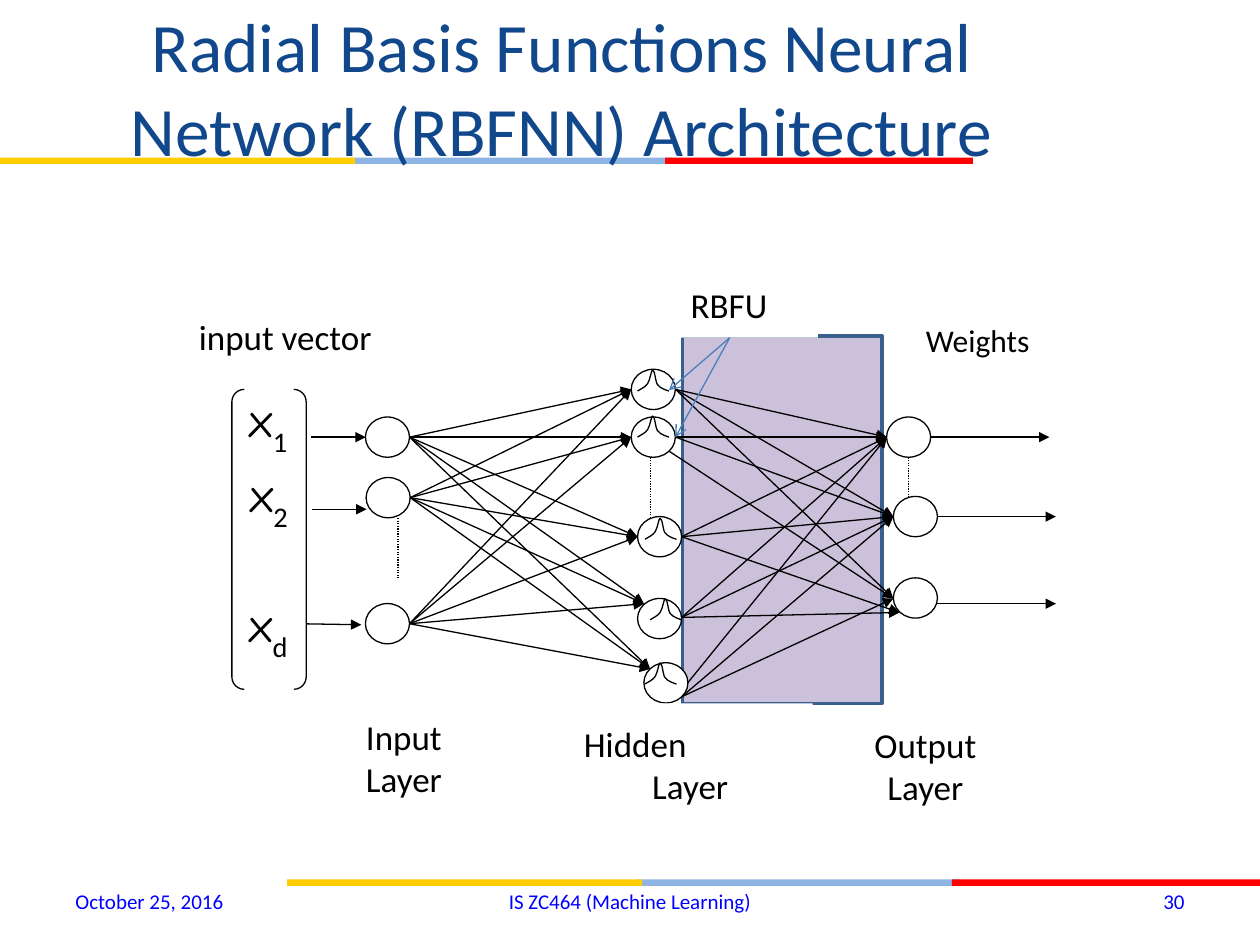
"""Builds a slide showing the architecture of a radial basis function neural network."""
from itertools import product

from lxml.etree import SubElement
from pptx import Presentation
from pptx.dml.color import RGBColor
from pptx.enum.dml import MSO_LINE
from pptx.enum.shapes import MSO_CONNECTOR, MSO_SHAPE
from pptx.enum.text import MSO_ANCHOR, MSO_AUTO_SIZE, PP_ALIGN
from pptx.oxml.ns import qn
from pptx.util import Pt

color = RGBColor.from_string
BLACK, WHITE, BLUE = "000000", "FFFFFF", "0000FF"
LEFT, CENTER, RIGHT = PP_ALIGN.LEFT, PP_ALIGN.CENTER, PP_ALIGN.RIGHT
TOP, MIDDLE = MSO_ANCHOR.TOP, MSO_ANCHOR.MIDDLE

presentation = Presentation()
presentation.slide_width, presentation.slide_height = Pt(720), Pt(540)
slide = presentation.slides.add_slide(presentation.slide_layouts[5])
shapes = slide.shapes


def add_shape(kind, box, fill=None, line=None, width=0.75):
    shape = shapes.add_shape(kind, *map(Pt, box))
    shape.shadow.inherit = False
    if fill:
        shape.fill.solid()
        shape.fill.fore_color.rgb = color(fill)
    else:
        shape.fill.background()
    if line:
        shape.line.color.rgb = color(line)
        shape.line.width = Pt(width)
    else:
        shape.line.fill.background()
    return shape


def add_line(start, end, head="triangle", line=BLACK):
    connector = shapes.add_connector(MSO_CONNECTOR.STRAIGHT, *map(Pt, start + end))
    connector.line.color.rgb = color(line)
    connector.line.width = Pt(0.75)
    properties = connector.element.spPr
    if head:
        SubElement(properties.find(qn("a:ln")), qn("a:tailEnd"), type=head)
    else:
        connector.line.dash_style = MSO_LINE.ROUND_DOT
    SubElement(properties, qn("a:effectLst"))


for bar_left, bar_top in [(0, 90), (164, 502.5)]:
    for offset, width, fill in [(200, 184, "8EB4E3"), (380, 176, "FF0000"), (0, 203, "FFCE00")]:
        add_shape(MSO_SHAPE.RECTANGLE, (bar_left + offset, bar_top, width, 3.7), fill)

add_shape(MSO_SHAPE.RECTANGLE, (390, 192, 114, 210), "CCC1DA", "3A5F8C", 2)

title = shapes.title
title.left, title.top, title.width, title.height = Pt(36), Pt(21.6), Pt(570), Pt(56)
title.text_frame.text = "Radial Basis Functions Neural Network (RBFNN) Architecture"
title.text_frame.auto_size = MSO_AUTO_SIZE.NONE
title.text_frame.vertical_anchor = MIDDLE
paragraph = title.text_frame.paragraphs[0]
paragraph.alignment = CENTER
paragraph.runs[0].font.size = Pt(39.6)
paragraph.runs[0].font.name = "Calibri"
paragraph.runs[0].font.color.rgb = color("11478B")
shapes.element.append(title.element)

for x, top, bottom in [(371.8, 261.4, 296), (519, 261.4, 291), (227.5, 296, 330.5)]:
    add_line((x, top), (x, bottom), head=None)

input_neurons = [(208.8, 238.3), (209.2, 272.9), (208.8, 344.9)]
hidden_neurons = [(360.7, 211), (360.7, 238.3), (364.3, 295.2), (364.3, 342), (367.9, 378.7)]
output_neurons = [(506.6, 238.3), (510.5, 283.7), (510.5, 330.2)]
for left, top in input_neurons + hidden_neurons + output_neurons:
    add_shape(MSO_SHAPE.OVAL, (left, top, 25.2, 23), WHITE, BLACK)

input_exits = [(left + 25.2, top + 11.5) for left, top in input_neurons]
hidden_entries = [(360.7, 222.5), (360.7, 249.8), (364.3, 306.7), (368, 345), (371.5, 382.3)]
for start, end in product(input_exits, hidden_entries):
    add_line(start, end)

first, second, third, fourth, fifth = [
    (386, 222.5), (386, 249.8), (389.5, 306.7), (389.5, 352.8), (389.5, 398.2)]
output_links = [
    ((506.8, 249.8), [first, second, third, fourth, (393, 390.2)]),
    ((510.5, 295.2), [first, second, third, fourth, fifth]),
    ((510.5, 342), [first, (382.3, 257.8), fifth]),
    ((514, 350), [third, fourth]),
]
for end, starts in output_links:
    for start in starts:
        add_line(start, end)

for left, y in [(532, 249.8), (535.7, 295.2), (535.7, 345)]:
    add_line((left, y), (left + 67.7, y))

labels = [
    ("x", "2", (132.5, 261.4, 42.5, 46.8), 28, BLACK, CENTER, MIDDLE, True),
    ("x", "d", (124, 335.5, 59, 46.8), 28, BLACK, CENTER, MIDDLE, True),
    ("x", "1", (124, 222.5, 59, 39), 28, BLACK, CENTER, MIDDLE, True),
    ("Hidden Layer", "", (324.7, 402, 139.7, 69.5), 20, BLACK, LEFT, MIDDLE, True),
    ("Input Layer", "", (189.4, 393.8, 82.8, 77.8), 20, BLACK, CENTER, MIDDLE, True),
    ("Output Layer", "", (480.2, 414, 97.2, 46.8), 20, BLACK, CENTER, MIDDLE, True),
    ("input vector", "", (91.4, 180.3, 143.3, 31), 20, BLACK, CENTER, TOP, True),
    ("RBFU", "", (365.8, 162, 101.5, 31), 20, BLACK, CENTER, TOP, True),
    ("Weights", "", (522, 180, 102.2, 30.2), 18, BLACK, LEFT, TOP, False),
    ("October 25, 2016", "", (36, 500.4, 168, 28.8), 12, BLUE, LEFT, MIDDLE, False),
    ("IS ZC464 (Machine Learning)", "", (246, 500.4, 228, 28.8), 12, BLUE, CENTER, MIDDLE, False),
    ("30", "", (516, 500.4, 168, 28.8), 12, BLUE, RIGHT, MIDDLE, False),
]
for text, subscript, box, size, text_color, alignment, anchor, filled in labels:
    label = shapes.add_textbox(*map(Pt, box))
    frame = label.text_frame
    frame.word_wrap = True
    frame.vertical_anchor = anchor
    if filled:
        label.fill.solid()
        label.fill.fore_color.rgb = color(WHITE)
        frame.margin_left = frame.margin_right = frame.margin_top = frame.margin_bottom = 0
    frame.text = text
    paragraph = frame.paragraphs[0]
    paragraph.alignment = alignment
    if subscript:
        run = paragraph.add_run()
        run.text = subscript
        run._r.get_or_add_rPr().set("baseline", "-30000")
    for run in paragraph.runs:
        run.font.size = Pt(size)
        run.font.name = "Comic Neue" if run.text == "x" else "Calibri"
        run.font.color.rgb = color(text_color)
    if text == "Hidden Layer":
        frame.margin_right = Pt(40)
        indents = paragraph._p.get_or_add_pPr()
        indents.set("marL", str(Pt(48)))
        indents.set("indent", str(Pt(-39)))

brackets = add_shape(MSO_SHAPE.DOUBLE_BRACKET, (132.5, 222.5, 42.5, 171.4), line=BLACK)
brackets.adjustments[0] = 0.167
for start, end in [((178, 249.8), (209, 249.8)), ((178.5, 291), (209.5, 291)),
                   ((175, 356.5), (206.5, 357))]:
    add_line(start, end)

bell_points = [
    (0, 12.2),
    (2.2, 10.8), (4.3, 10.1), (5.8, 7.9),
    (7.2, 5.8), (7.9, 0), (8.6, 0.2),
    (10.1, 0.5), (10.1, 7), (11.5, 8.6),
    (13, 10.8), (17.3, 12), (18, 12.2),
]
for left, top in [(364.3, 211.3), (364.3, 237.6), (368.6, 296), (371.5, 342), (368.6, 378.7)]:
    points = [(Pt(left + x), Pt(top + y)) for x, y in bell_points]
    builder = shapes.build_freeform(*points[0])
    builder.add_line_segments(points[1:], close=False)
    bell = builder.convert_to_shape()
    segments = list(bell.element.iter(qn("a:lnTo")))
    outline = segments[0].getparent()
    for index in range(0, len(segments), 3):
        curve = SubElement(outline, qn("a:cubicBezTo"))
        for segment in segments[index:index + 3]:
            curve.append(segment[0])
            outline.remove(segment)
    bell.shadow.inherit = False
    bell.fill.background()
    bell.line.color.rgb = color(BLACK)
    bell.line.width = Pt(0.75)

for end in [(382.3, 223), (386, 249.8)]:
    add_line((417, 193), end, "arrow", "4B7EBC")

presentation.save("out.pptx")
